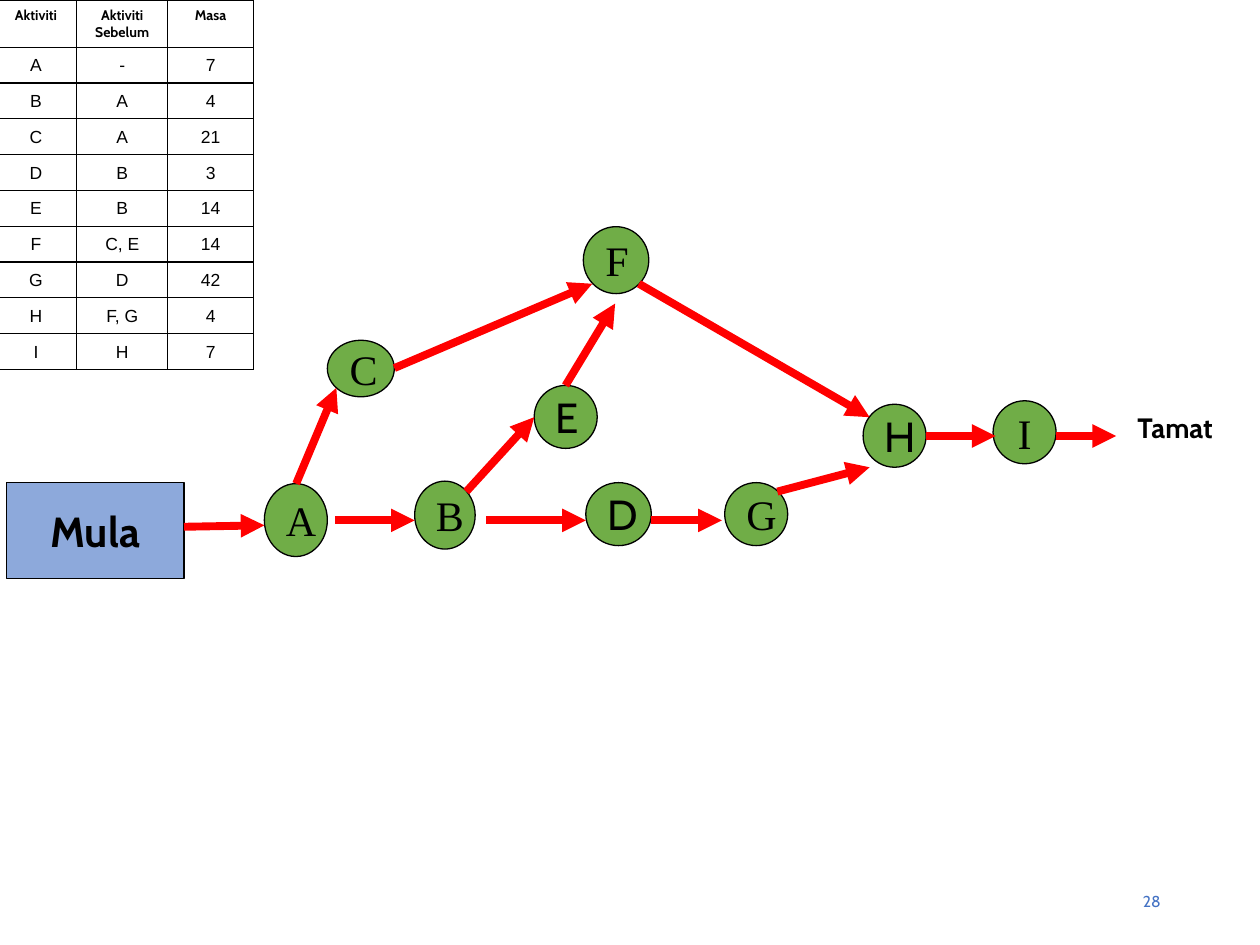
from lxml import etree
from pptx import Presentation
from pptx.dml.color import RGBColor
from pptx.enum.shapes import MSO_CONNECTOR, MSO_SHAPE
from pptx.enum.text import MSO_ANCHOR, PP_ALIGN
from pptx.oxml.ns import qn
from pptx.util import Cm, Pt

STRAIGHT = MSO_CONNECTOR.STRAIGHT
RECTANGLE, OVAL = MSO_SHAPE.RECTANGLE, MSO_SHAPE.OVAL
LEFT, CENTER, RIGHT = PP_ALIGN.LEFT, PP_ALIGN.CENTER, PP_ALIGN.RIGHT
TOP, MIDDLE = MSO_ANCHOR.TOP, MSO_ANCHOR.MIDDLE

COLORS = {
    "ink": "000000",
    "node": "70AD47",
    "start": "8DA9DB",
    "arrow": "FF0000",
    "page": "4472C4",
}
HEADING_FONT, TABLE_FONT, NODE_FONT = "Cabin", "Arial", "Times New Roman"

ACTIVITIES = [
    ("Aktiviti", "Aktiviti Sebelum", "Masa"),
    ("A", "-", "7"),
    ("B", "A", "4"),
    ("C", "A", "21"),
    ("D", "B", "3"),
    ("E", "B", "14"),
    ("F", "C, E", "14"),
    ("G", "D", "42"),
    ("H", "F, G", "4"),
    ("I", "H", "7"),
]
COLUMN_WIDTHS = (1.65, 1.83, 1.73)
HEADER_HEIGHT, ROW_HEIGHT = 0.95, 0.7

NODES = [
    ("A", NODE_FONT, (5.33, 9.75, 1.27, 1.47)),
    ("B", NODE_FONT, (8.36, 9.7, 1.22, 1.37)),
    ("C", NODE_FONT, (6.6, 6.86, 1.35, 1.14)),
    ("D", HEADING_FONT, (11.81, 9.73, 1.32, 1.27)),
    ("E", HEADING_FONT, (10.77, 7.77, 1.27, 1.27)),
    ("F", NODE_FONT, (11.76, 4.57, 1.32, 1.35)),
    ("G", NODE_FONT, (14.61, 9.73, 1.27, 1.27)),
    ("H", HEADING_FONT, (17.4, 8.15, 1.27, 1.27)),
    ("I", NODE_FONT, (20.02, 8.08, 1.27, 1.27)),
]
DEPENDENCIES = [
    (3.71, 10.62, 5.33, 10.59),
    (6.76, 10.49, 8.36, 10.49),
    (5.97, 9.75, 6.78, 7.82),
    (9.4, 9.91, 10.77, 8.41),
    (9.8, 10.49, 11.81, 10.49),
    (7.95, 7.42, 11.94, 5.72),
    (11.4, 7.77, 12.4, 6.12),
    (13.13, 10.49, 14.55, 10.49),
    (12.88, 5.72, 17.53, 8.41),
    (15.67, 9.91, 17.53, 9.42),
    (18.67, 8.79, 20.07, 8.79),
    (21.29, 8.79, 22.5, 8.79),
]


def rgb(name):
    return RGBColor.from_string(COLORS[name])


def write(frame, text, size=24, font=HEADING_FONT, color="ink", bold=False,
          align=CENTER, spacing=None):
    frame.word_wrap = True
    paragraph = frame.paragraphs[0]
    paragraph.alignment = align
    if spacing:
        paragraph.line_spacing = spacing
    run = paragraph.add_run()
    run.text = text
    run.font.size = Pt(size)
    run.font.name = font
    run.font.bold = bold
    run.font.color.rgb = rgb(color)


class NetworkSlide:
    outline = 0.75
    table_edge = 1.08
    arrow_width = 4.5

    def __init__(self, slide):
        self.slide = slide

    def label(self, text, box, anchor=TOP, **style):
        frame = self.slide.shapes.add_textbox(*map(Cm, box)).text_frame
        frame.vertical_anchor = anchor
        write(frame, text, **style)

    def block(self, kind, text, box, fill, **style):
        block = self.slide.shapes.add_shape(kind, *map(Cm, box))
        block.shadow.inherit = False
        block.fill.solid()
        block.fill.fore_color.rgb = rgb(fill)
        block.line.color.rgb = rgb("ink")
        block.line.width = Pt(self.outline)
        block.text_frame.vertical_anchor = MIDDLE
        write(block.text_frame, text, **style)

    def arrow(self, ends):
        arrow = self.slide.shapes.add_connector(STRAIGHT, *map(Cm, ends))
        arrow.line.color.rgb = rgb("arrow")
        arrow.line.width = Pt(self.arrow_width)
        etree.SubElement(arrow.line._get_or_add_ln(), qn("a:tailEnd"), type="triangle")
        etree.SubElement(arrow._element.spPr, qn("a:effectLst"))

    def cell_borders(self, cell, outer_sides):
        properties = cell._tc.get_or_add_tcPr()
        for position, side in enumerate(("L", "R", "T", "B")):
            width = self.table_edge if side in outer_sides else self.outline
            border = etree.Element(qn(f"a:ln{side}"), w=str(Pt(width)))
            fill = etree.SubElement(border, qn("a:solidFill"))
            etree.SubElement(fill, qn("a:srgbClr"), val=COLORS["ink"])
            properties.insert(position, border)

    def table(self, rows, left, top, widths, header_height, row_height):
        height = header_height + row_height * (len(rows) - 1)
        frame = self.slide.shapes.add_table(
            len(rows), len(widths), Cm(left), Cm(top), Cm(sum(widths)), Cm(height))
        table = frame.table
        table.first_row = table.horz_banding = False
        for column, width in zip(table.columns, widths):
            column.width = Cm(width)
        header = dict(size=8, font=HEADING_FONT, bold=True, spacing=1.01)
        body = dict(size=10, font=TABLE_FONT, spacing=0.93)
        for r, values in enumerate(rows):
            table.rows[r].height = Cm(row_height if r else header_height)
            for c, value in enumerate(values):
                cell = table.cell(r, c)
                cell.fill.background()
                cell.margin_top = Cm(0.2 if r else 0.13)
                write(cell.text_frame, value, **(body if r else header))
                edges = {"L": c == 0, "R": c == len(widths) - 1,
                         "T": r == 0, "B": r == len(rows) - 1}
                self.cell_borders(cell, [side for side in edges if edges[side]])


def main():
    deck = Presentation()
    deck.slide_width, deck.slide_height = Cm(25.4), Cm(19.05)
    network = NetworkSlide(deck.slides.add_slide(deck.slide_layouts[6]))
    network.label("28", (17.93, 17.65, 5.72, 1.02), anchor=MIDDLE,
                  size=9, color="page", align=RIGHT)
    network.block(RECTANGLE, "Mula", (0.13, 9.73, 3.58, 1.93), "start", bold=True)
    network.label("Tamat", (22.68, 8.15, 2.62, 1.17), size=16, bold=True, align=LEFT)
    network.table(ACTIVITIES, -0.1, 0, COLUMN_WIDTHS, HEADER_HEIGHT, ROW_HEIGHT)
    for activity, font, box in NODES:
        network.block(OVAL, activity, box, "node", font=font)
    for ends in DEPENDENCIES:
        network.arrow(ends)
    deck.save("out.pptx")


if __name__ == "__main__":
    main()
